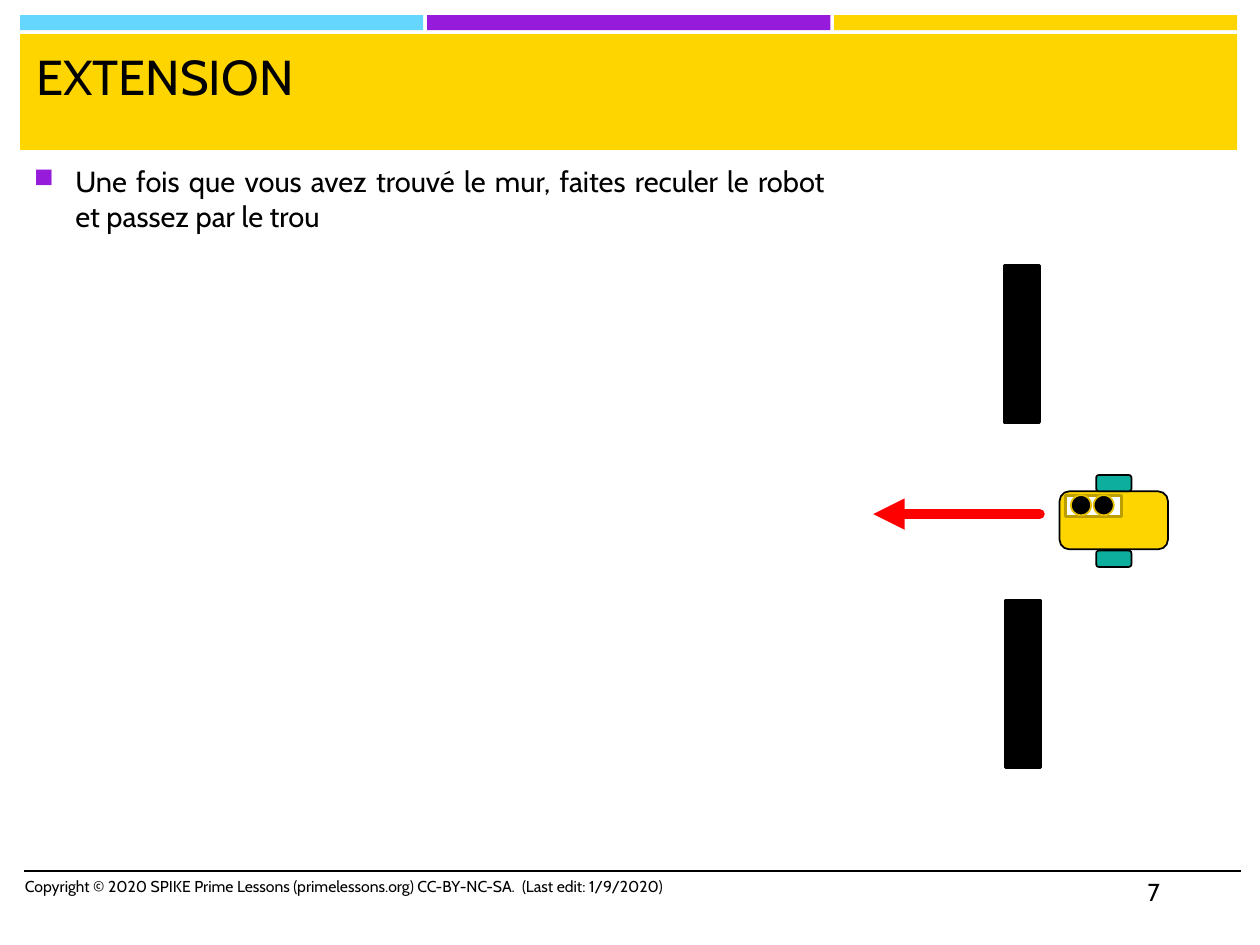
from lxml.etree import SubElement
from pptx import Presentation
from pptx.dml.color import RGBColor
from pptx.enum.shapes import MSO_CONNECTOR, MSO_SHAPE
from pptx.enum.text import MSO_ANCHOR, PP_ALIGN
from pptx.oxml.ns import qn
from pptx.util import Inches, Pt

FONT = "Cabin"
BLACK, YELLOW, BLUE, PURPLE = "000000", "FFD500", "65D7FF", "961BDB"
TEAL, RED, WHITE = "0EAE9F", "FF0000", "FFFFFF"
PANEL_EDGE, EYE_EDGE = "BD9E00", "E6C000"


def color(hex_value):
    return RGBColor.from_string(hex_value)


def add_block(slide, kind, left, top, width, height, fill, line=None, line_width=1):
    shape = slide.shapes.add_shape(
        kind, Inches(left), Inches(top), Inches(width), Inches(height))
    shape.shadow.inherit = False
    shape.fill.solid()
    shape.fill.fore_color.rgb = color(fill)
    if line:
        shape.line.color.rgb = color(line)
        shape.line.width = Pt(line_width)
    else:
        shape.line.fill.background()
    return shape


def add_line(slide, start, end, line_color, width, arrow=False):
    connector = slide.shapes.add_connector(
        MSO_CONNECTOR.STRAIGHT, *(Inches(value) for value in (*start, *end)))
    connector.line.color.rgb = color(line_color)
    connector.line.width = Pt(width)
    if arrow:
        line = connector.line._get_or_add_ln()
        line.set("cap", "rnd")
        SubElement(line, qn("a:tailEnd"), type="triangle")
    SubElement(connector._element.spPr, qn("a:effectLst"))


def add_bullet(paragraph, indent, bullet_color, percent):
    properties = paragraph._p.get_or_add_pPr()
    properties.set("marL", str(Inches(indent)))
    properties.set("indent", str(-Inches(indent)))
    bullet = SubElement(properties, qn("a:buClr"))
    SubElement(bullet, qn("a:srgbClr"), val=bullet_color)
    SubElement(properties, qn("a:buSzPct"), val=str(percent * 1000))
    SubElement(properties, qn("a:buChar"), char="■")


def add_text(slide, text, left, top, width, height, size,
             align=PP_ALIGN.LEFT, bullet=False):
    box = slide.shapes.add_textbox(
        Inches(left), Inches(top), Inches(width), Inches(height))
    frame = box.text_frame
    frame.word_wrap = True
    frame.vertical_anchor = MSO_ANCHOR.TOP
    paragraph = frame.paragraphs[0]
    paragraph.alignment = align
    if bullet:
        paragraph.space_after = Pt(6)
        add_bullet(paragraph, 0.33, PURPLE, 92)
    run = paragraph.add_run()
    run.text = text
    run.font.name = FONT
    run.font.size = Pt(size)
    run.font.color.rgb = color(BLACK)


def add_header(slide):
    for column, fill in enumerate((BLUE, PURPLE, YELLOW)):
        add_block(slide, MSO_SHAPE.RECTANGLE, 0.16 + 3.23 * column, 0.12, 3.2, 0.12, fill)
    add_block(slide, MSO_SHAPE.RECTANGLE, 0.16, 0.27, 9.66, 0.92, YELLOW)
    add_text(slide, "EXTENSION", 0.19, 0.32, 9.57, 0.82, 28)


def add_footer(slide):
    add_line(slide, (0.19, 6.91), (9.85, 6.91), BLACK, 1)
    add_text(slide, "Copyright © 2020 SPIKE Prime Lessons (primelessons.org) "
             "CC-BY-NC-SA.  (Last edit: 1/9/2020)", 0.1, 6.91, 5.33, 0.4, 9)
    add_text(slide, "7", 9.01, 6.91, 0.84, 0.4, 14)


def add_walls(slide):
    for left, top, height in ((7.97, 2.11, 1.24), (7.98, 4.77, 1.32)):
        add_block(slide, MSO_SHAPE.RECTANGLE, left, top, 0.28, height, BLACK, BLACK, 1.75)


def add_robot(slide):
    rounded = MSO_SHAPE.ROUNDED_RECTANGLE
    add_block(slide, rounded, 8.41, 3.9, 0.86, 0.46, YELLOW, BLACK)
    for top in (3.77, 4.37):
        add_block(slide, rounded, 8.7, top, 0.28, 0.13, TEAL, BLACK)
    add_block(slide, MSO_SHAPE.RECTANGLE, 8.46, 3.93, 0.44, 0.17, WHITE, PANEL_EDGE, 1.75)
    for left in (8.5, 8.68):
        add_block(slide, MSO_SHAPE.OVAL, left, 3.93, 0.16, 0.16, BLACK, EYE_EDGE)


def main():
    presentation = Presentation()
    presentation.slide_width = Inches(10)
    presentation.slide_height = Inches(7.5)
    slide = presentation.slides.add_slide(presentation.slide_layouts[6])
    add_header(slide)
    add_text(slide, "Une fois que vous avez trouvé le mur, faites reculer le robot "
             "et passez par le trou", 0.17, 1.25, 6.47, 0.62, 16.6,
             align=PP_ALIGN.JUSTIFY, bullet=True)
    add_footer(slide)
    add_walls(slide)
    add_robot(slide)
    add_line(slide, (8.25, 4.08), (6.93, 4.08), RED, 6, arrow=True)
    presentation.save("out.pptx")


if __name__ == "__main__":
    main()
